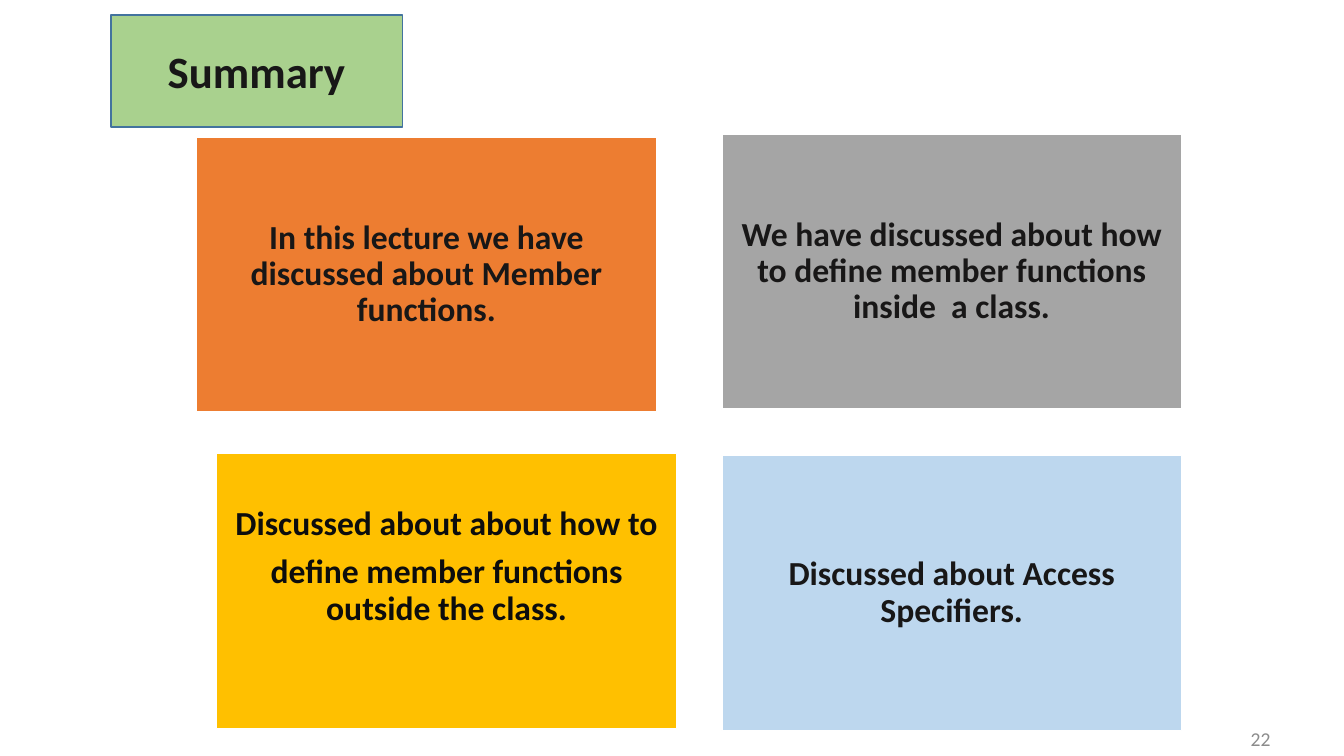
"""Build the lecture summary slide with four takeaway cards."""
from lxml import etree
from pptx import Presentation
from pptx import util as u
from pptx.dml.color import RGBColor
from pptx.enum import shapes, text
from pptx.oxml.ns import qn

INK = RGBColor(0x18, 0x17, 0x17)
BLACK = RGBColor(0x0D, 0x0D, 0x0D)
MUTED = RGBColor(0x8C, 0x8C, 0x8C)
WHITE = RGBColor(0xFF, 0xFF, 0xFF)
GREEN = RGBColor(0xA9, 0xD1, 0x8E)
BLUE = RGBColor(0x43, 0x73, 0x9E)
ORANGE = RGBColor(0xED, 0x7D, 0x31)
GRAY = RGBColor(0xA5, 0xA5, 0xA5)
YELLOW = RGBColor(0xFF, 0xC0, 0x00)
PALE_BLUE = RGBColor(0xBD, 0xD7, 0xEE)

CARD_WIDTH, CARD_HEIGHT = 4.56, 2.73
CARDS = [
    (1.95, 1.36, ORANGE, INK, 0.1,
     ["In this lecture we have discussed about Member functions."]),
    (7.16, 1.33, GRAY, INK, 0.1,
     ["We have discussed about how to define member functions inside  a class."]),
    (2.15, 4.5, YELLOW, BLACK, 0.58,
     ["Discussed about about how to",
      "define member functions outside the class."]),
    (7.16, 4.52, PALE_BLUE, INK, 0.1,
     ["Discussed about Access Specifiers."]),
]


class SummarySlide:
    """Holds the text style and the slide being filled."""

    font = "Calibri"

    def __init__(self, deck):
        self.slide = deck.slides.add_slide(deck.slide_layouts[5])

    def paint(self, shape, fill, line):
        shape.fill.solid()
        shape.fill.fore_color.rgb = fill
        shape.line.color.rgb = line
        shape.line.width = u.Pt(1)

    def add_text(self, frame, paragraphs, size, color, bold=True,
                 align=text.PP_ALIGN.CENTER, line_spacing=1.0, gap=0):
        frame.word_wrap = True
        frame.auto_size = text.MSO_AUTO_SIZE.NONE
        frame.vertical_anchor = text.MSO_ANCHOR.MIDDLE
        for index, words in enumerate(paragraphs):
            paragraph = frame.add_paragraph() if index else frame.paragraphs[0]
            paragraph.alignment = align
            paragraph.line_spacing = line_spacing
            paragraph.space_after = u.Pt(gap)
            run = paragraph.add_run()
            run.text = words
            run.font.name = self.font
            run.font.size = u.Pt(size)
            run.font.bold = bold
            run.font.color.rgb = color

    def title(self, words, left, top, width, height):
        title = self.slide.shapes.title
        title.left, title.top = u.Inches(left), u.Inches(top)
        title.width, title.height = u.Inches(width), u.Inches(height)
        outline = etree.SubElement(title.element.spPr, qn("a:prstGeom"),
                                   prst="flowChartMagneticTape")
        etree.SubElement(outline, qn("a:avLst"))
        self.paint(title, GREEN, BLUE)
        self.add_text(title.text_frame, [words], 32, INK)

    def card(self, left, top, fill, color, bottom_margin, paragraphs):
        card = self.slide.shapes.add_shape(
            shapes.MSO_SHAPE.RECTANGLE, u.Inches(left), u.Inches(top),
            u.Inches(CARD_WIDTH), u.Inches(CARD_HEIGHT))
        card.shadow.inherit = False
        self.paint(card, fill, WHITE)
        frame = card.text_frame
        frame.margin_left = frame.margin_right = frame.margin_top = u.Inches(0.1)
        frame.margin_bottom = u.Inches(bottom_margin)
        self.add_text(frame, paragraphs, 24, color, line_spacing=0.9, gap=8.4)

    def page_number(self, number, left, top, width, height):
        box = self.slide.shapes.add_textbox(
            u.Inches(left), u.Inches(top), u.Inches(width), u.Inches(height))
        self.add_text(box.text_frame, [number], 14, MUTED, bold=False,
                      align=text.PP_ALIGN.RIGHT)


def main():
    deck = Presentation()
    deck.slide_width, deck.slide_height = u.Inches(13.33), u.Inches(7.5)
    summary = SummarySlide(deck)
    summary.title("Summary", 1.1, 0.15, 2.89, 1.11)
    for card in CARDS:
        summary.card(*card)
    summary.page_number("22", 10.46, 7.15, 2.24, 0.35)
    deck.save("out.pptx")


if __name__ == "__main__":
    main()
